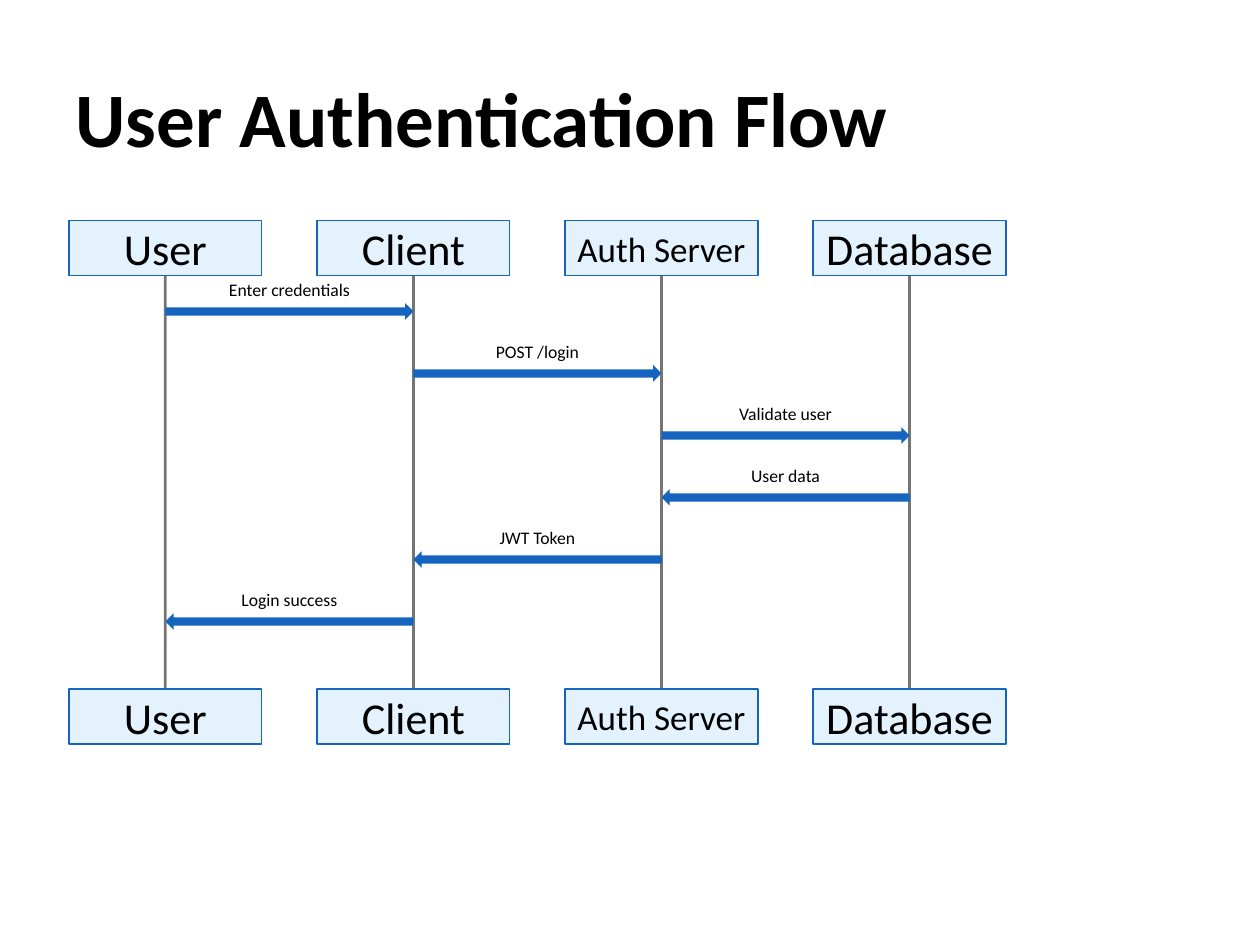
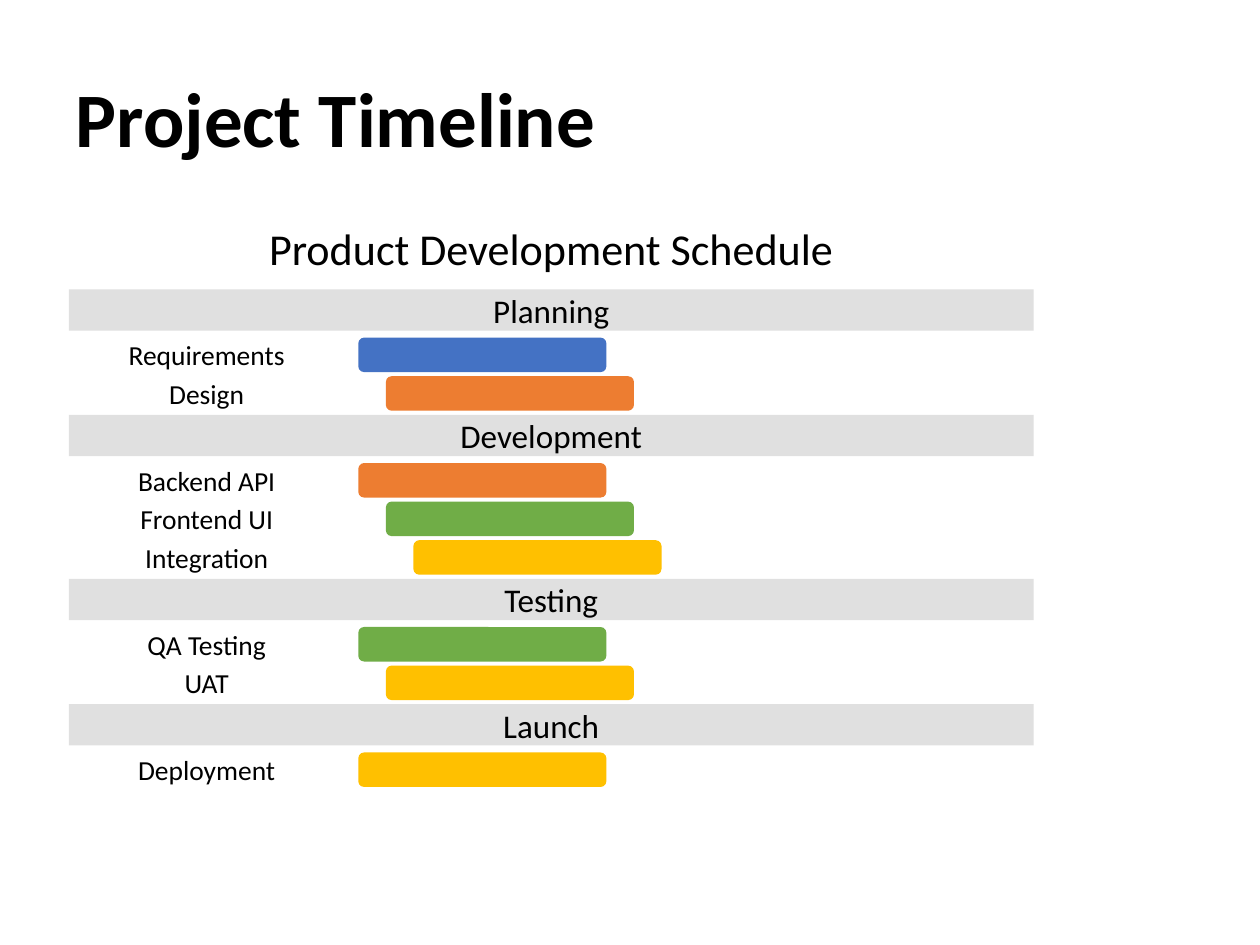
from dataclasses import dataclass

from pptx import Presentation
from pptx.dml.color import RGBColor
from pptx.enum.shapes import MSO_SHAPE as Preset
from pptx.enum.text import MSO_ANCHOR as Anchor, PP_ALIGN as Align
from pptx.util import Inches, Pt

BLACK = RGBColor(0x00, 0x00, 0x00)
PALE_BLUE = RGBColor(0xE3, 0xF2, 0xFD)
STRONG_BLUE = RGBColor(0x15, 0x65, 0xC0)
LIFELINE_GRAY = RGBColor(0x75, 0x75, 0x75)
SECTION_GRAY = RGBColor(0xE0, 0xE0, 0xE0)
BLUE = RGBColor(0x44, 0x72, 0xC4)
ORANGE = RGBColor(0xED, 0x7D, 0x31)
GREEN = RGBColor(0x70, 0xAD, 0x47)
YELLOW = RGBColor(0xFF, 0xC0, 0x00)

FONT = "Calibri"
TITLE_SIZE, HEADING_SIZE, TIGHT_SIZE = 44, 25.2, 20
SECTION_SIZE, TASK_SIZE, MESSAGE_SIZE = 18.9, 15.7, 10.1

CELL = Inches(7) / 32  # side of one grid square
TITLE_ONLY = 5

PARTICIPANTS = [("User", HEADING_SIZE), ("Client", HEADING_SIZE),
                ("Auth Server", TIGHT_SIZE), ("Database", HEADING_SIZE)]
# sender lane, receiver lane, label
MESSAGES = [(0, 1, "Enter credentials"), (1, 2, "POST /login"), (2, 3, "Validate user"),
            (3, 2, "User data"), (2, 1, "JWT Token"), (1, 0, "Login success")]
SCHEDULE = {
    "Planning": [("Requirements", BLUE), ("Design", ORANGE)],
    "Development": [("Backend API", ORANGE), ("Frontend UI", GREEN), ("Integration", YELLOW)],
    "Testing": [("QA Testing", GREEN), ("UAT", YELLOW)],
    "Launch": [("Deployment", YELLOW)],
}


@dataclass
class Box:
    """A rectangle measured in grid cells."""
    left: float
    top: float
    width: float
    height: float

    def inner(self, left, top, width, height):
        return Box(self.left + left, self.top + top, width, height)

    def lengths(self):
        return [round(cells * CELL) for cells in
                (self.left, self.top, self.width, self.height)]


def format_text(frame, size, align=Align.CENTER, bold=False):
    frame.vertical_anchor = Anchor.MIDDLE
    for para in frame.paragraphs:
        para.alignment = align
        for span in para.runs:
            span.font.name = FONT
            span.font.size = Pt(size)
            span.font.bold = bold
            span.font.color.rgb = BLACK


def write(shape, text, size):
    frame = shape.text_frame
    frame.margin_left = frame.margin_right = frame.margin_top = frame.margin_bottom = 0
    frame.word_wrap = True
    frame.text = text
    format_text(frame, size)


def add_label(page, box, text, size):
    write(page.shapes.add_textbox(*box.lengths()), text, size)


def add_block(page, preset, box, fill, outline=None):
    block = page.shapes.add_shape(preset, *box.lengths())
    block.shadow.inherit = False
    block.fill.solid()
    block.fill.fore_color.rgb = fill
    if outline is None:
        block.line.fill.background()
    else:
        block.line.color.rgb = outline
        block.line.width = Pt(0)
    return block


def add_titled_page(deck, title):
    page = deck.slides.add_slide(deck.slide_layouts[TITLE_ONLY])
    page.shapes.title.text_frame.text = title
    format_text(page.shapes.title.text_frame, TITLE_SIZE, Align.LEFT, bold=True)
    return page


def draw_sequence(page, box):
    """Draw a lane for each participant, then the messages between lanes."""
    lane_pitch, name_width, name_height = 9, 7, 2
    line_width = 0.1
    for lane, (name, size) in enumerate(PARTICIPANTS):
        left = lane * lane_pitch
        line = box.inner(left + (name_width - line_width) / 2, name_height,
                         line_width, box.height - 2 * name_height)
        add_block(page, Preset.RECTANGLE, line, LIFELINE_GRAY)
        for top in (0, box.height - name_height):
            place = box.inner(left, top, name_width, name_height)
            write(add_block(page, Preset.RECTANGLE, place, PALE_BLUE, STRONG_BLUE), name, size)

    for row, (sender, receiver, text) in enumerate(MESSAGES):
        left = min(sender, receiver) * lane_pitch + name_width / 2
        top = name_height + 0.1 + row * 2.25
        arrow = Preset.RIGHT_ARROW if receiver > sender else Preset.LEFT_ARROW
        add_block(page, arrow, box.inner(left, top + 0.9, lane_pitch, 0.6), STRONG_BLUE)
        add_label(page, box.inner(left, top, lane_pitch, 0.8), text, MESSAGE_SIZE)


def draw_schedule(page, box):
    """Stack the sections; inside each, every task bar starts one cell later."""
    add_label(page, box.inner(0, 0, box.width, 2), "Product Development Schedule", HEADING_SIZE)
    top = 2.5
    for section, tasks in SCHEDULE.items():
        band = add_block(page, Preset.RECTANGLE, box.inner(0, top, box.width, 1.5), SECTION_GRAY)
        write(band, section, SECTION_SIZE)
        top += 1.75
        for step, (task, color) in enumerate(tasks):
            add_label(page, box.inner(0, top, 10, 1.25), task, TASK_SIZE)
            add_block(page, Preset.ROUNDED_RECTANGLE,
                      box.inner(10.5 + step, top, 9, 1.25), color)
            top += 1.4


def main():
    deck = Presentation()
    deck.slide_width, deck.slide_height = Inches(10), Inches(7.5)
    draw_sequence(add_titled_page(deck, "User Authentication Flow"), Box(2.5, 8, 34, 19))
    draw_schedule(add_titled_page(deck, "Project Timeline"), Box(2.5, 8, 35, 20.5))
    deck.save("out.pptx")


if __name__ == "__main__":
    main()
